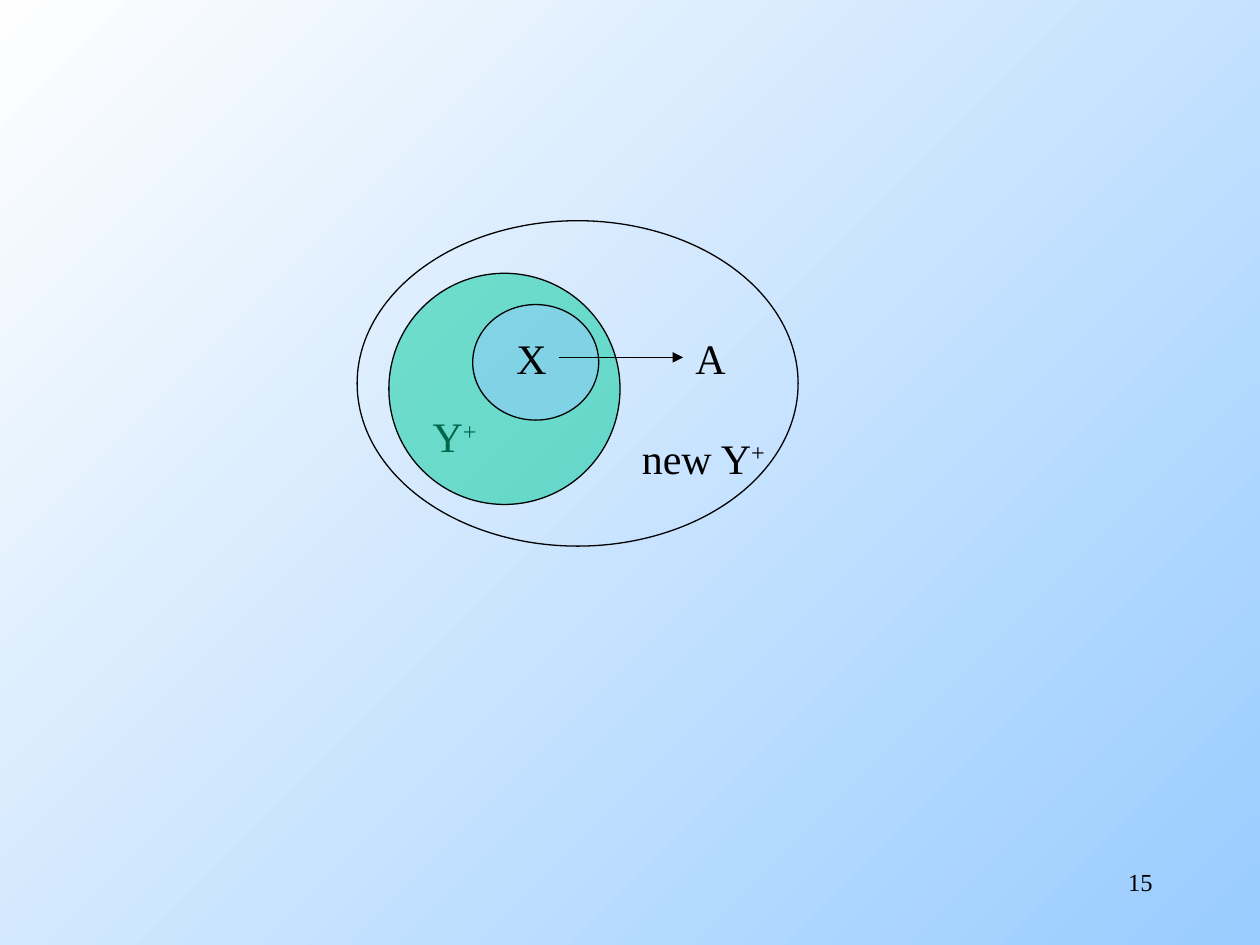
from lxml import etree
from pptx import Presentation
from pptx.dml.color import RGBColor
from pptx.enum.shapes import MSO_CONNECTOR, MSO_SHAPE
from pptx.enum.text import MSO_AUTO_SIZE, PP_ALIGN
from pptx.oxml.ns import qn
from pptx.util import Cm, Pt

OVAL = MSO_SHAPE.OVAL
STRAIGHT = MSO_CONNECTOR.STRAIGHT
GROW = MSO_AUTO_SIZE.SHAPE_TO_FIT_TEXT
FIXED = MSO_AUTO_SIZE.NONE
LEFT = PP_ALIGN.LEFT
RIGHT = PP_ALIGN.RIGHT
BLACK = "000000"
SKY = "99CCFF"
GREEN = "00CC99"
FONT = "Times New Roman"


def color(value):
    """Turn a hex string into a colour."""
    return RGBColor.from_string(value)


def place(box, left, top, width, height):
    """Return lengths for a part offset within a box."""
    return [Cm(value) for value in (box[0] + left, box[1] + top, width, height)]


def set_line(shape):
    """Give a shape or connector a thin black line."""
    shape.line.color.rgb = color(BLACK)
    shape.line.width = Pt(0.75)


def add_oval(shapes, bounds, fill=None):
    """Add an outlined ellipse, half transparent when filled."""
    oval = shapes.add_shape(OVAL, *bounds)
    oval.shadow.inherit = False
    set_line(oval)
    if fill is None:
        oval.fill.background()
        return
    oval.fill.solid()
    oval.fill.fore_color.rgb = color(fill)
    tone = oval._element.spPr.find(qn("a:solidFill")).find(qn("a:srgbClr"))
    etree.SubElement(tone, qn("a:alpha")).set("val", "50000")


def add_label(shapes, bounds, text, superscript="", size=24, align=LEFT, wrap=False):
    """Add a text box with an optional superscript and return it."""
    label = shapes.add_textbox(*bounds)
    frame = label.text_frame
    frame.word_wrap = wrap
    frame.auto_size = FIXED if wrap else GROW
    para = frame.paragraphs[0]
    para.alignment = align
    font_format = {"name": FONT, "size": Pt(size)}
    for content, baseline in ((text, 0), (superscript, 30000)):
        if not content:
            continue
        span = para.add_run()
        span.text = content
        for name, value in font_format.items():
            setattr(span.font, name, value)
        span.font.color.rgb = color(BLACK)
        if baseline:
            span._r.get_or_add_rPr().set("baseline", str(baseline))
    return label


def add_arrow(shapes, source, target):
    """Join the right side of one label to the left side of another."""
    arrow = shapes.add_connector(STRAIGHT, 0, 0, 0, 0)
    arrow.begin_connect(source, 3)
    arrow.end_connect(target, 1)
    set_line(arrow)
    etree.SubElement(arrow.line._get_or_add_ln(), qn("a:tailEnd")).set("type", "triangle")
    etree.SubElement(arrow._element.spPr, qn("a:effectLst"))


def add_closure_diagram(page, box):
    """Draw the old closure, the grown closure and the dependency X to A."""
    add_label(page.shapes, place(box, 1.27, 3.71, 1.4, 1.27), "Y", "+")
    add_oval(page.shapes, place(box, 0.64, 1.06, 4.66, 4.66), GREEN)

    grown = page.shapes.add_group_shape().shapes
    add_label(grown, place(box, 5.49, 4.14, 3.02, 1.27), "new Y", "+")
    add_oval(grown, place(box, 0, 0, box[2], box[3]))

    dependency = page.shapes.add_group_shape().shapes
    add_oval(dependency, place(box, 2.33, 1.69, 2.54, 2.33), SKY)
    source, target = [
        add_label(dependency, place(box, left, 2.12, 1.1, 1.27), text)
        for left, text in ((2.96, "X"), (6.57, "A"))
    ]
    add_arrow(dependency, source, target)


def add_page_number(page, box):
    """Write the page number at the right of its box."""
    add_label(page.shapes, place(box, 0, 0, box[2], box[3]), "15", size=14, align=RIGHT, wrap=True)


def set_background(page):
    """Fill the page with a diagonal gradient."""
    fill = page.background.fill
    fill.gradient()
    fill.gradient_angle = 135
    for stop, value in zip(fill.gradient_stops, (SKY, "FEFEFE")):
        stop.color.rgb = color(value)


def main():
    """Build the deck and save it."""
    deck = Presentation()
    deck.slide_width, deck.slide_height = Cm(25.4), Cm(19.05)
    page = deck.slides.add_slide(deck.slide_layouts[6])
    set_background(page)
    add_closure_diagram(page, (7.2, 4.45, 8.89, 6.56))
    add_page_number(page, (18.2, 17.36, 5.29, 1.27))
    deck.save("out.pptx")


if __name__ == "__main__":
    main()
